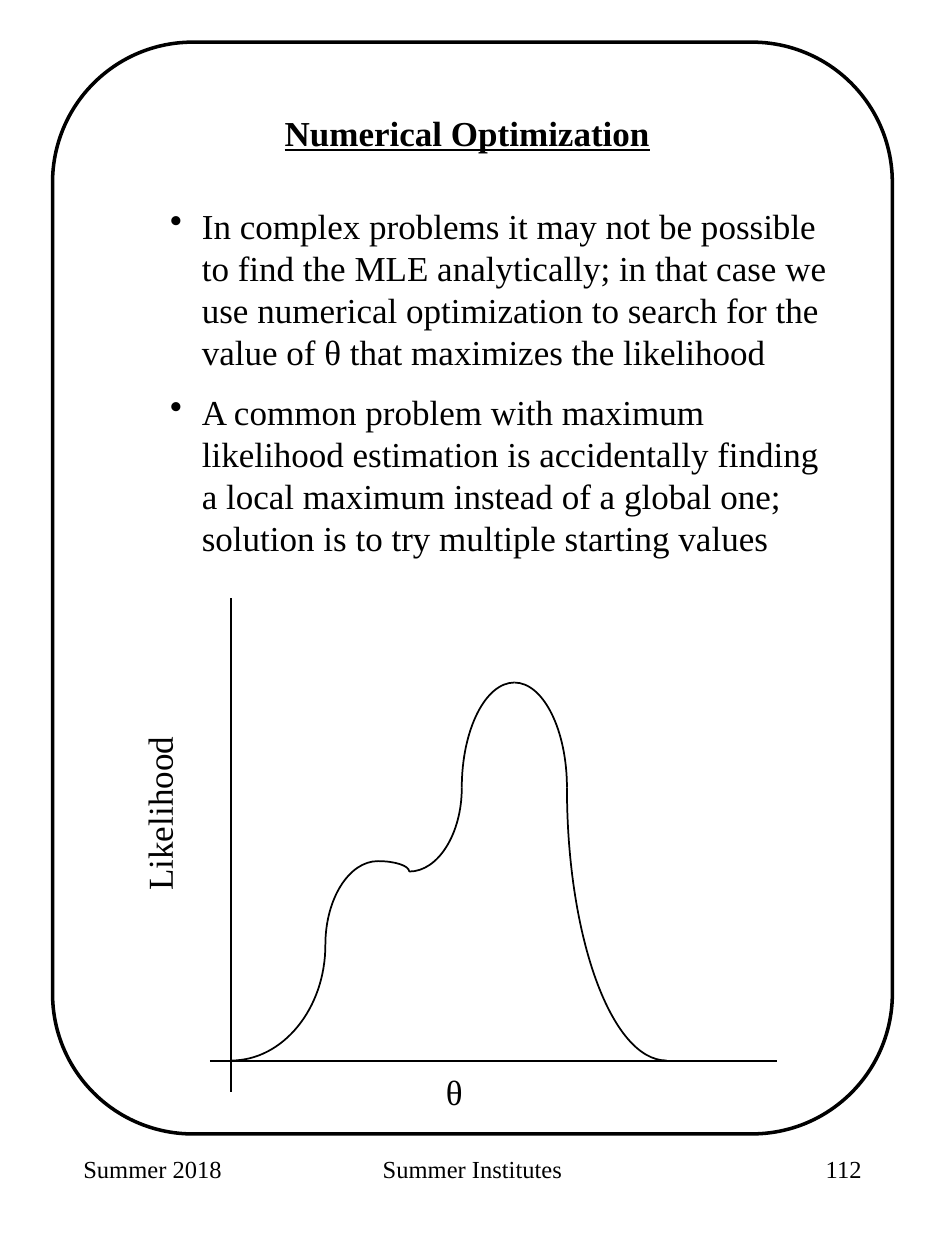
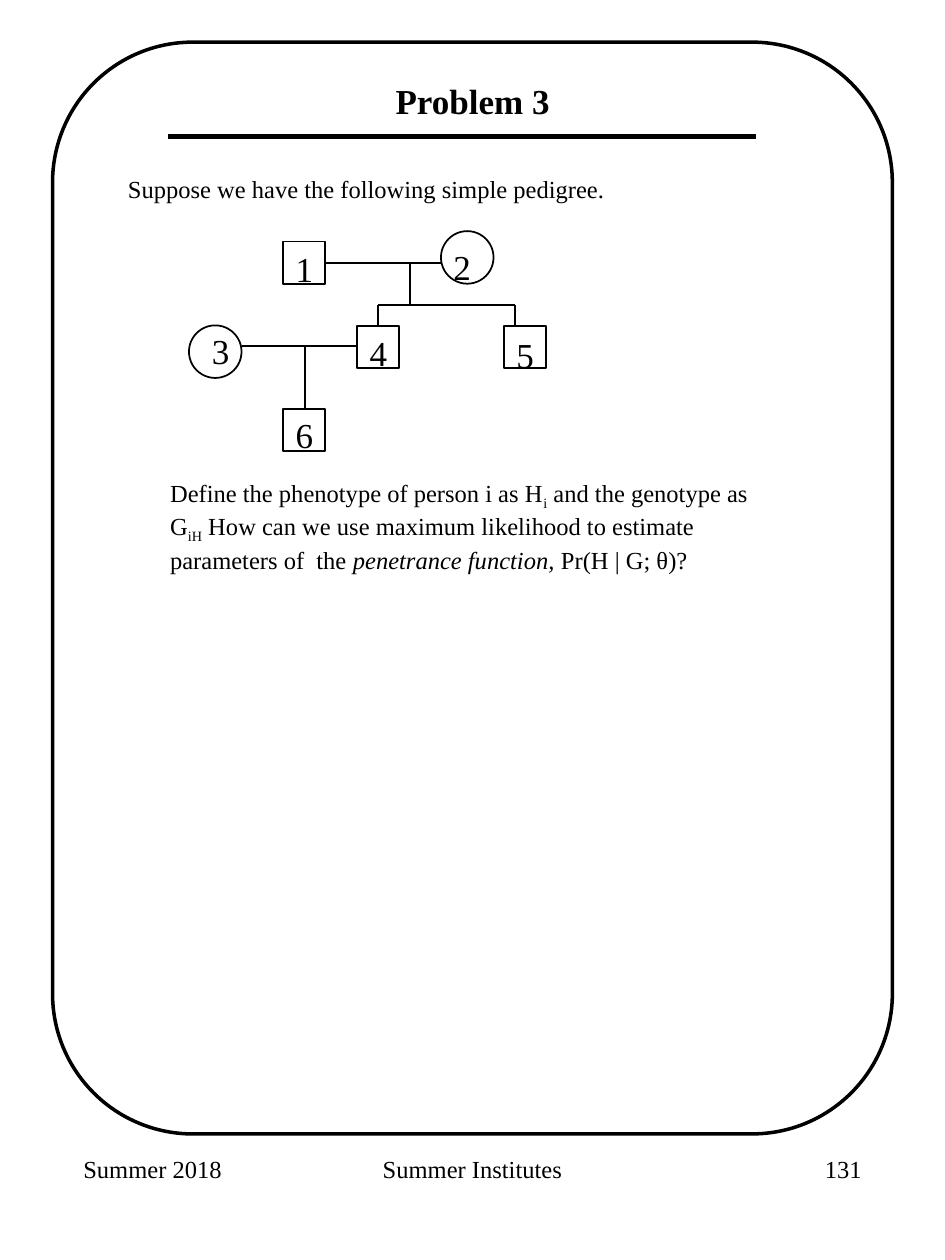
from dataclasses import dataclass

from lxml import etree
from pptx import Presentation
from pptx.dml.color import RGBColor
from pptx.enum.shapes import MSO_CONNECTOR, MSO_SHAPE
from pptx.enum.text import PP_ALIGN
from pptx.oxml.ns import qn
from pptx.util import Cm, Pt

LEFT, CENTER, RIGHT = PP_ALIGN.LEFT, PP_ALIGN.CENTER, PP_ALIGN.RIGHT
RECT, OVAL, ROUND = MSO_SHAPE.RECTANGLE, MSO_SHAPE.OVAL, MSO_SHAPE.ROUNDED_RECTANGLE
STRAIGHT = MSO_CONNECTOR.STRAIGHT


@dataclass(frozen=True)
class Theme:
    ink: RGBColor = RGBColor(0, 0, 0)
    font: str = "Times New Roman"
    large: Pt = Pt(20)
    small: Pt = Pt(14)
    thin: Pt = Pt(1)
    frame: Pt = Pt(2)
    rule: Pt = Pt(3)


theme = Theme()


def add_text(slide, box, paragraphs, size, align=LEFT):
    """Add a text box; each paragraph is a list of runs."""
    sp = slide.shapes.add_textbox(*map(Cm, box))
    tf = sp.text_frame
    tf.word_wrap = True
    for i, runs in enumerate(paragraphs):
        p = tf.add_paragraph() if i else tf.paragraphs[0]
        p.alignment = align
        for text in runs:
            r = p.add_run()
            r.text = text
            r.font.name, r.font.size = theme.font, size
            r.font.color.rgb = theme.ink
    return sp


def style_outline(sp, width):
    """Black line, no shadow, no fill."""
    sp.line.color.rgb = theme.ink
    sp.line.width = width
    if hasattr(sp, "fill"):
        sp.fill.background()
        sp.shadow.inherit = False
    else:
        etree.SubElement(sp._element.spPr, qn("a:effectLst"))


prs = Presentation()
prs.slide_width, prs.slide_height = Cm(19.05), Cm(25.4)

# Shared frame, title and footer
pages = [
    ("Numerical Optimization", (5.29, 2.12, 8.26, 1.09), True, "112"),
    ("Problem 3", (4.87, 1.48, 9.32, 1.09), False, "131"),
]
slides = []
for title, title_box, underline, number in pages:
    s = prs.slides.add_slide(prs.slide_layouts[6])
    slides.append(s)
    frame = s.shapes.add_shape(ROUND, Cm(1.06), Cm(0.85), Cm(16.93), Cm(22.01))
    frame.adjustments[0] = 0.167
    style_outline(frame, theme.frame)

    sp = add_text(s, title_box, [[title]], theme.large, CENTER)
    r = sp.text_frame.paragraphs[0].runs[0]
    r.font.bold = True
    r.font.underline = underline

    footers = [("Summer 2018", 1.43, 3.97, LEFT),
               ("Summer Institutes", 6.5, 6.05, CENTER),
               (number, 13.65, 3.97, RIGHT)]
    for text, x, w, align in footers:
        add_text(s, (x, 23.14, w, 1.69), [[text]], theme.small, align)

optimization, problem = slides

# Slide 1: bullets
bullets = [
    ["In complex problems it may not be possible to find the MLE analytically; "
     "in that case we use numerical optimization to search for the value of "
     "θ that maximizes the likelihood"],
    ["A common problem with maximum likelihood estimation is accidentally "
     "finding a local maximum instead of a global one; solution is to try "
     "multiple starting values"],
]
sp = add_text(optimization, (3.18, 3.99, 13.8, 7.52), bullets, theme.large)
for p in sp.text_frame.paragraphs:
    p.space_after = Pt(10.3)
    pPr = p._p.get_or_add_pPr()
    pPr.set("marL", str(Cm(0.64)))
    pPr.set("indent", str(-Cm(0.64)))
    etree.SubElement(pPr, qn("a:buChar")).set("char", "•")

# Slide 1: axes and their labels
for ends in [(4.66, 12.06, 4.66, 22.01), (4.23, 21.39, 15.66, 21.39)]:
    axis = optimization.shapes.add_connector(STRAIGHT, *map(Cm, ends))
    style_outline(axis, theme.thin)
sp = add_text(optimization, (1.16, 15.59, 4.11, 1.12), [["Likelihood"]], theme.large)
sp.rotation = 270
add_text(optimization, (8.74, 21.46, 1.32, 1.12), [["θ"]], theme.large)

# Slide 1: likelihood curve, a chain of quarter ellipses
knots = [(4.66, 21.38), (6.56, 19.05), (7.62, 17.36), (8.25, 17.57),
         (9.31, 15.88), (10.37, 13.76), (11.43, 15.88), (13.44, 21.38)]
starts_flat = [True, False, True, True, False, True, False]
BULGE = 0.55
for start, end, flat in zip(knots, knots[1:], starts_flat):
    builder = optimization.shapes.build_freeform(*map(Cm, start))
    builder.add_line_segments([tuple(map(Cm, end))], close=False)
    arc = builder.convert_to_shape()
    style_outline(arc, theme.thin)

    # Turn the straight segment into a Bezier curve
    (x0, y0), (x1, y1) = [(int(pt.get("x")), int(pt.get("y")))
                          for pt in arc._element.iter(qn("a:pt"))]
    dx, dy = BULGE * (x1 - x0), BULGE * (y1 - y0)
    if flat:
        controls = [(x0 + dx, y0), (x1, y1 - dy)]
    else:
        controls = [(x0, y0 + dy), (x1 - dx, y1)]
    segment = next(arc._element.iter(qn("a:lnTo")))
    curve = etree.Element(qn("a:cubicBezTo"))
    for x, y in controls + [(x1, y1)]:
        etree.SubElement(curve, qn("a:pt"), x=str(round(x)), y=str(round(y)))
    segment.getparent().replace(segment, curve)

# Slide 2: title rule and opening sentence
rule = problem.shapes.add_connector(STRAIGHT, Cm(3.39), Cm(2.75), Cm(15.24), Cm(2.75))
style_outline(rule, theme.rule)
add_text(problem, (2.33, 3.39, 14.18, 0.85),
         [["Suppose we have the following simple pedigree."]], theme.small)

# Slide 2: pedigree links
links = [
    (6.56, 5.3, 8.89, 5.3),      # 1 and 2
    (8.26, 5.3, 8.26, 6.15),     # down to their children
    (7.62, 6.15, 10.38, 6.15),
    (7.62, 6.15, 7.62, 6.56),    # 4
    (10.38, 6.15, 10.38, 6.56),  # 5
    (4.87, 6.98, 7.2, 6.98),     # 3 and 4
    (6.15, 6.98, 6.15, 8.25),    # 6
]
for ends in links:
    link = problem.shapes.add_connector(STRAIGHT, *map(Cm, ends))
    style_outline(link, theme.thin)

# Slide 2: people, with the offset of each number from its symbol
people = [
    ("1", RECT, 5.71, 4.87, 0, 0),
    ("2", OVAL, 8.89, 4.66, 0, 0.17),
    ("3", OVAL, 3.81, 6.56, 0.21, -0.04),
    ("4", RECT, 7.2, 6.57, 0, -0.02),
    ("5", RECT, 10.16, 6.57, 0, 0.03),
    ("6", RECT, 5.71, 8.25, 0, -0.04),
]
sizes = {RECT: Cm(0.85), OVAL: Cm(1.06)}
for number, kind, x, y, dx, dy in people:
    symbol = problem.shapes.add_shape(kind, Cm(x), Cm(y), sizes[kind], sizes[kind])
    style_outline(symbol, theme.thin)
    add_text(problem, (x + dx, y + dy, 1.06, 1.09), [[number]], theme.large)

# Slide 2: question with subscripts and an italic term
question = ["Define the phenotype of person i as H", "i",
            " and the genotype as G", "iH",
            " How can we use maximum likelihood to estimate parameters of  the ",
            "penetrance function, ", "Pr(H | G; θ)?"]
sp = add_text(problem, (3.18, 9.51, 12.5, 2.03), [question], theme.small)
runs = sp.text_frame.paragraphs[0].runs
for r in (runs[1], runs[3]):
    r.font._element.set("baseline", "-25000")
runs[5].font.italic = True

prs.save("out.pptx")
